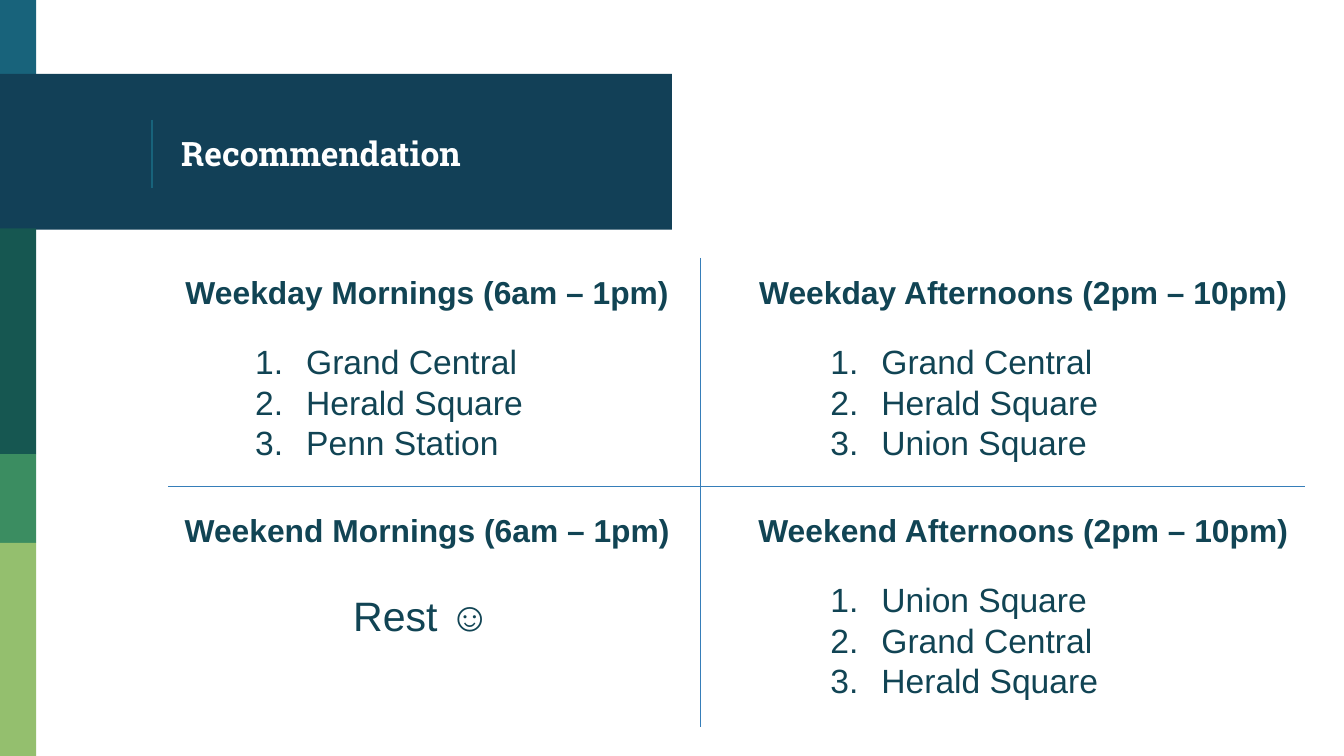
from lxml import etree
from pptx import Presentation, util as u
from pptx.dml.color import RGBColor
from pptx.enum import shapes, text
from pptx.oxml.ns import qn

# 16:9 slide
W = 10
H = W * 9 / 16
INK, TEAL, BLUE = "114454", "18637B", "367EB9"

# Grid: (left, width) of each column, top of each row
COLS = [(1.15, 4.06), (5.43, 4.37)]
ROWS = [1.93, 3.7]
HEAD_H, LIST_INDENT, LIST_W, LIST_H = 0.51, 0.65, 2.41, 1.18
BAR_W = 0.27

QUADRANTS = [
    (0, 0, "Weekday Mornings (6am – 1pm)",
     ["Grand Central", "Herald Square", "Penn Station"]),
    (1, 0, "Weekday Afternoons (2pm – 10pm)",
     ["Grand Central", "Herald Square", "Union Square"]),
    (0, 1, "Weekend Mornings (6am – 1pm)", []),
    (1, 1, "Weekend Afternoons (2pm – 10pm)",
     ["Union Square", "Grand Central", "Herald Square"]),
]


def rgb(value):
    return RGBColor.from_string(value)


def add_bar(s, x, y, w, h, color):
    sp = s.shapes.add_shape(shapes.MSO_SHAPE.RECTANGLE, *map(u.Inches, (x, y, w, h)))
    sp.shadow.inherit = False
    sp.fill.solid()
    sp.fill.fore_color.rgb = rgb(color)
    sp.line.fill.background()


def add_rule(s, x1, y1, x2, y2, color):
    line = s.shapes.add_connector(shapes.MSO_CONNECTOR.STRAIGHT,
                                  *map(u.Inches, (x1, y1, x2, y2)))
    line.line.color.rgb = rgb(color)
    line.line.width = u.Pt(0.75)
    etree.SubElement(line._element.spPr, qn("a:effectLst"))


def number(p, color):
    """Turn a paragraph into an automatically numbered item."""
    pPr = p._p.get_or_add_pPr()
    pPr.set("marL", str(u.Inches(0.38)))
    pPr.set("indent", str(-u.Inches(0.38)))
    clr = etree.SubElement(pPr, qn("a:buClr"))
    etree.SubElement(clr, qn("a:srgbClr"), val=color)
    etree.SubElement(pPr, qn("a:buFont"), typeface="Arial")
    etree.SubElement(pPr, qn("a:buAutoNum"), type="arabicPeriod")


def add_text(s, x, y, w, h, lines, size=18, font="Arial", color=INK, bold=False,
             align=text.PP_ALIGN.LEFT, anchor=text.MSO_ANCHOR.TOP, numbered=False):
    tf = s.shapes.add_textbox(*map(u.Inches, (x, y, w, h))).text_frame
    tf.word_wrap = True
    tf.vertical_anchor = anchor
    tf.margin_left = tf.margin_right = tf.margin_top = tf.margin_bottom = u.Inches(0.1)
    for i, line in enumerate(lines):
        p = tf.add_paragraph() if i else tf.paragraphs[0]
        p.alignment = align
        if numbered:
            number(p, color)
        r = p.add_run()
        r.text = line
        r.font.size, r.font.name, r.font.bold = u.Pt(size), font, bold
        r.font.color.rgb = rgb(color)


def add_quadrant(s, col, row, heading, stations):
    (x, w), y = COLS[col], ROWS[row]
    add_text(s, x, y, w, HEAD_H, [heading], size=17, bold=True,
             align=text.PP_ALIGN.CENTER)
    if stations:
        add_text(s, x + LIST_INDENT, y + HEAD_H, LIST_W, LIST_H, stations,
                 numbered=True)
    else:
        add_text(s, 2.53, 4.29, 1.31, 0.59, ["Rest ☺"], size=22)


def main():
    prs = Presentation()
    prs.slide_width, prs.slide_height = u.Inches(W), u.Inches(H)
    s = prs.slides.add_slide(prs.slide_layouts[6])

    # Side strip and title band
    add_bar(s, 0, 0, BAR_W, 0.58, TEAL)
    add_bar(s, 0, 0.55, W / 2, 1.16, "124057")
    strip = [(1.7, "165751"), (3.38, "3B8D61"), (4.04, "94BF6E")]
    ends = [top for top, _ in strip[1:]] + [H]
    for (top, color), end in zip(strip, ends):
        add_bar(s, 0, top, BAR_W, end - top, color)

    # Title
    add_rule(s, 1.13, 0.89, 1.13, 1.4, TEAL)
    add_text(s, 1.25, 0.58, 3.51, 1.12, ["Recommendation"], font="Roboto Slab",
             color="FFFFFF", bold=True, anchor=text.MSO_ANCHOR.MIDDLE)

    # Cross lines and the four quadrants
    add_rule(s, 5.21, 1.92, 5.21, 5.41, BLUE)
    add_rule(s, 1.25, 3.62, 9.71, 3.62, BLUE)
    for quadrant in QUADRANTS:
        add_quadrant(s, *quadrant)

    prs.save("out.pptx")


if __name__ == "__main__":
    main()
